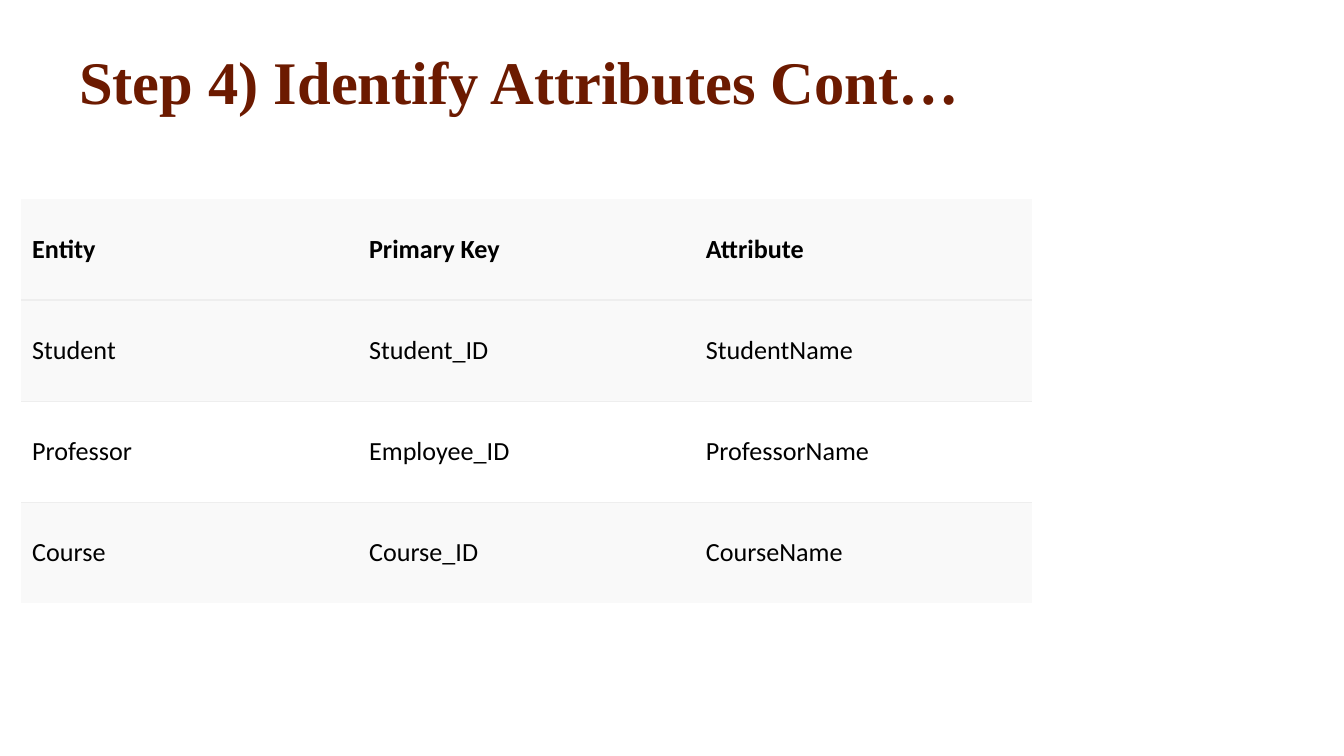
from dataclasses import dataclass

from lxml.etree import SubElement
from pptx import Presentation
from pptx.dml.color import RGBColor
from pptx.enum.text import MSO_ANCHOR as Anchor
from pptx.oxml.ns import qn
from pptx.util import Inches, Pt

COLORS = {"title": "6C1A00", "text": "000000", "band": "F9F9F9",
          "plain": "FFFFFF", "rule": "EEEEEE"}


@dataclass
class EntityRow:
    entity: str
    primary_key: str
    attribute: str
    fill: str = "band"
    bold: bool = False


ROWS = [
    EntityRow("Entity", "Primary Key", "Attribute", bold=True),
    EntityRow("Student", "Student_ID", "StudentName"),
    EntityRow("Professor", "Employee_ID", "ProfessorName", fill="plain"),
    EntityRow("Course", "Course_ID", "CourseName"),
]


def write_text(frame, text: str, *, size: float, font: str, color: str,
               bold: bool = False) -> None:
    """Fill the first paragraph of a frame with formatted text."""
    frame.word_wrap = True
    para = frame.paragraphs[0]
    para.text = text
    for style in (para.font, *(span.font for span in para.runs)):
        style.size = Pt(size)
        style.name = font
        style.bold = bold
        style.color.rgb = RGBColor.from_string(COLORS[color])


def set_borders(cell, sides: dict[str, bool]) -> None:
    """Draw a thin rule on each side marked True and no line on the others."""
    properties = cell._tc.get_or_add_tcPr()
    for index, (side, shown) in enumerate(sides.items()):
        line = SubElement(properties, qn(f"a:{side}"), w=str(Pt(0.75)))
        if shown:
            fill = SubElement(line, qn("a:solidFill"))
            SubElement(fill, qn("a:srgbClr"), val=COLORS["rule"])
        else:
            SubElement(line, qn("a:noFill"))
        properties.remove(line)
        properties.insert(index, line)


def add_entity_table(page, rows: list[EntityRow]) -> None:
    table = page.shapes.add_table(len(rows), 3, Inches(0.16), Inches(1.48),
                                  Inches(7.52), Inches(3.01)).table
    table.first_row = table.horz_banding = False
    for row_index, row in enumerate(rows):
        texts = (row.entity, row.primary_key, row.attribute)
        for column_index, text in enumerate(texts):
            cell = table.cell(row_index, column_index)
            cell.vertical_anchor = Anchor.MIDDLE
            cell.margin_left = cell.margin_right = Inches(0.08)
            cell.margin_top = cell.margin_bottom = Inches(0.04)
            cell.fill.solid()
            cell.fill.fore_color.rgb = RGBColor.from_string(COLORS[row.fill])
            write_text(cell.text_frame, text, size=14, font="Calibri",
                       color="text", bold=row.bold)
            set_borders(cell, {"lnL": False, "lnR": False,
                               "lnT": row_index > 0,
                               "lnB": row_index < len(rows) - 1})


# A 16:9 page
deck = Presentation()
deck.slide_width = Inches(10)
deck.slide_height = Inches(10 * 9 / 16)
page = deck.slides.add_slide(deck.slide_layouts[6])

# Entities with their keys and attributes
add_entity_table(page, ROWS)

# Title, ending in a line break that lifts it within its box
title_box = page.shapes.add_textbox(Inches(0.49), Inches(0.47),
                                    Inches(7.01), Inches(0.79))
title_box.text_frame.vertical_anchor = Anchor.MIDDLE
write_text(title_box.text_frame, "Step 4) Identify Attributes Cont…\v",
           size=32.4, font="Times New Roman", color="title", bold=True)

deck.save("out.pptx")
